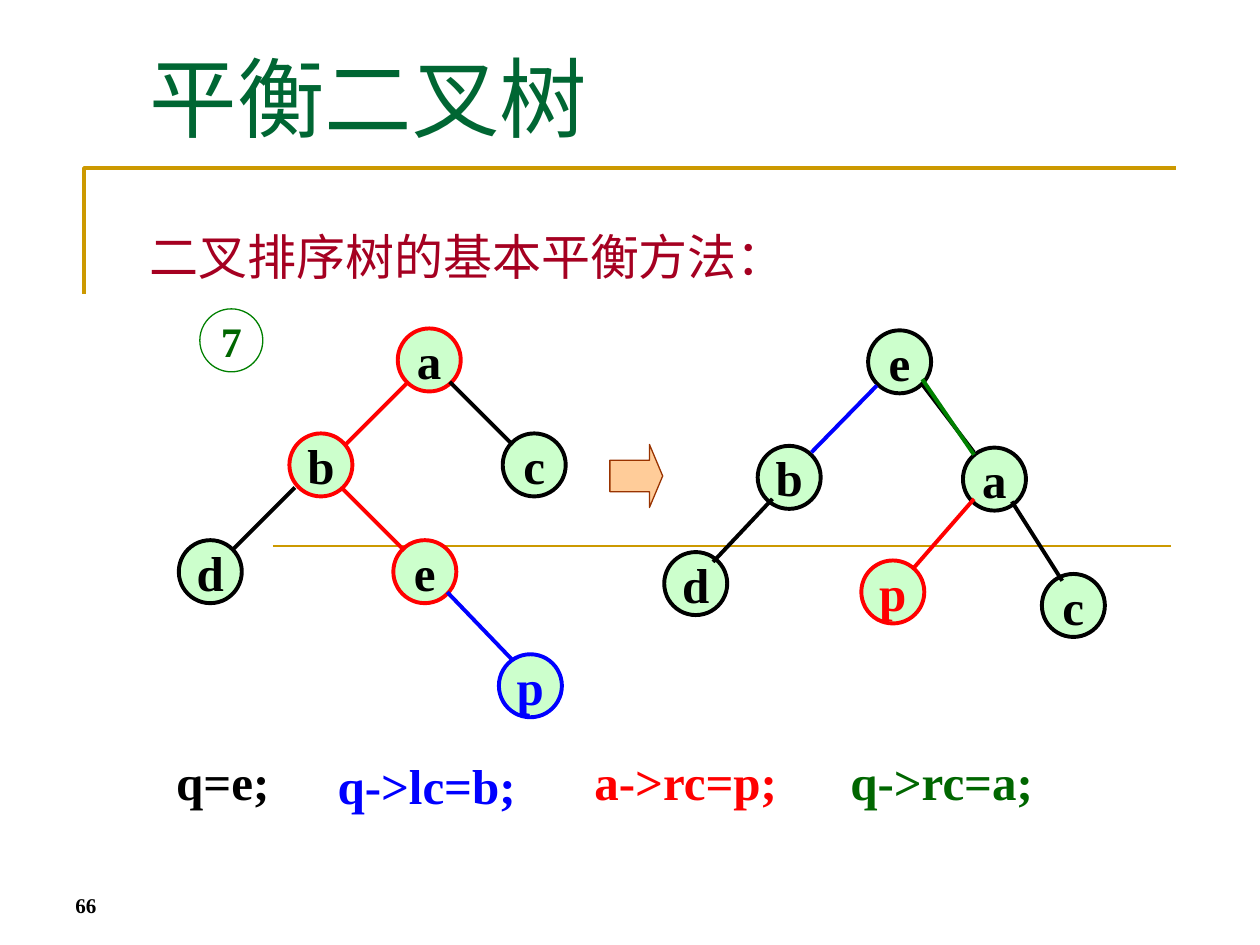
"""Build the slide on rebalancing a binary sort tree, case 7."""
from lxml.etree import SubElement
from pptx import Presentation
from pptx.dml.color import RGBColor
from pptx.enum.shapes import MSO_CONNECTOR, MSO_SHAPE
from pptx.enum.text import MSO_ANCHOR, PP_ALIGN
from pptx.oxml.ns import qn
from pptx.util import Pt

BLACK, RED, BLUE, GREEN = "000000", "FF0000", "0000FF", "006600"
GOLD, MINT = "CC9900", "CCFFCC"


def write(shape, text, color, size=28, font="Times New Roman", bold=True,
          align=PP_ALIGN.LEFT, anchor=MSO_ANCHOR.TOP, wrap=True):
    frame = shape.text_frame
    frame.text = text
    frame.word_wrap = wrap
    frame.vertical_anchor = anchor
    paragraph = frame.paragraphs[0]
    paragraph.alignment = align
    style = {"name": font, "size": Pt(size), "bold": bold}
    for attribute, value in style.items():
        setattr(paragraph.font, attribute, value)
    paragraph.font.color.rgb = RGBColor.from_string(color)


def connect(x1, y1, x2, y2, color, width=2.25):
    edge = slide.shapes.add_connector(
        MSO_CONNECTOR.STRAIGHT, Pt(x1), Pt(y1), Pt(x2), Pt(y2))
    edge.line.color.rgb = RGBColor.from_string(color)
    edge.line.width = Pt(width)
    SubElement(edge.element.spPr, qn("a:effectLst"))


presentation = Presentation()
presentation.slide_width, presentation.slide_height = Pt(720), Pt(540)
slide = presentation.slides.add_slide(presentation.slide_layouts[5])

heading = slide.shapes.title
place = {"left": 78.5, "top": 21.6, "width": 568, "height": 90}
for attribute, value in place.items():
    setattr(heading, attribute, Pt(value))
write(heading, "平衡二叉树", "006633", size=50, bold=False)

builder = slide.shapes.build_freeform(48.2, 168, scale=12700)
builder.add_line_segments([(48.2, 96), (672, 96)], close=False)
corner = builder.convert_to_shape()
corner.shadow.inherit = False
corner.fill.background()
corner.line.color.rgb = RGBColor.from_string(GOLD)
corner.line.width = Pt(2)
connect(156, 312, 669, 312, GOLD, 1.5)

method = slide.shapes.add_textbox(Pt(78.5), Pt(126), Pt(568), Pt(356))
write(method, "二叉排序树的基本平衡方法：", "A50021", font="Arial", bold=False)

statements = [
    ("q=e;", 93.6, 426.2, 68.4, BLACK),
    ("q->lc=b;", 185.8, 428.4, 135.4, BLUE),
    ("a->rc=p;", 332.6, 426.2, 131, RED),
    ("q->rc=a;", 478.8, 426.2, 164.2, GREEN),
]
for code, left, top, width, color in statements:
    statement = slide.shapes.add_textbox(Pt(left), Pt(top), Pt(width), Pt(41))
    write(statement, code, color)

page_number = slide.shapes.add_textbox(Pt(36), Pt(492), Pt(168), Pt(36))
write(page_number, "66", BLACK, size=12, anchor=MSO_ANCHOR.BOTTOM)

arrow = slide.shapes.add_shape(
    MSO_SHAPE.RIGHT_ARROW, Pt(348.5), Pt(254), Pt(30.2), Pt(36))
arrow.adjustments[0], arrow.adjustments[1] = 0.5, 0.25
arrow.shadow.inherit = False
arrow.fill.solid()
arrow.fill.fore_color.rgb = RGBColor.from_string("FFCC99")
arrow.line.color.rgb = RGBColor.from_string("993300")
arrow.line.width = Pt(0.75)

nodes = [
    ("a", 227.3, 187.7, RED, BLACK),
    ("b", 165.4, 247.7, RED, BLACK),
    ("c", 287.3, 247.7, BLACK, BLACK),
    ("d", 102.2, 308.7, BLACK, BLACK),
    ("e", 224.8, 308.7, RED, BLACK),
    ("p", 285.1, 373.9, BLUE, BLUE),
    ("e", 496.1, 188.8, BLACK, BLACK),
    ("b", 433, 254.8, BLACK, BLACK),
    ("d", 379.6, 315.5, BLACK, BLACK),
    ("a", 550.3, 255.8, BLACK, BLACK),
    ("p", 492.2, 320.3, RED, RED),
    ("c", 595.4, 328, BLACK, BLACK),
    ("7", 114.2, 176.5, "008000", GREEN),
]
for label, left, top, outline, color in nodes:
    is_case = label == "7"
    node = slide.shapes.add_shape(
        MSO_SHAPE.OVAL, Pt(left), Pt(top), Pt(36), Pt(36))
    node.shadow.inherit = False
    if is_case:
        node.fill.background()
    else:
        node.fill.solid()
        node.fill.fore_color.rgb = RGBColor.from_string(MINT)
    node.line.color.rgb = RGBColor.from_string(outline)
    node.line.width = Pt(0.75 if is_case else 2.25)
    write(node, label, color, size=24 if is_case else 28,
          align=PP_ALIGN.CENTER, anchor=MSO_ANCHOR.MIDDLE, wrap=False)

edges = [
    (233.3, 218.2, 197.3, 254.2, RED),
    (257, 218.2, 293, 254.2, BLACK),
    (168.5, 278.6, 132.5, 314.6, BLACK),
    (195.1, 278.6, 231.1, 314.6, RED),
    (255.6, 338.4, 292.3, 376.6, BLUE),
    (527, 219.6, 556.6, 258.5, BLACK),
    (441.4, 285.1, 407.5, 321.1, BLACK),
    (578.2, 286.6, 607, 331.9, BLACK),
    (501.1, 220.3, 463.7, 258.5, BLUE),
    (527, 216.7, 556.6, 259.9, "008000"),
    (556.6, 285.1, 522, 324.7, RED),
]
for edge_values in edges:
    connect(*edge_values)

presentation.save("out.pptx")
